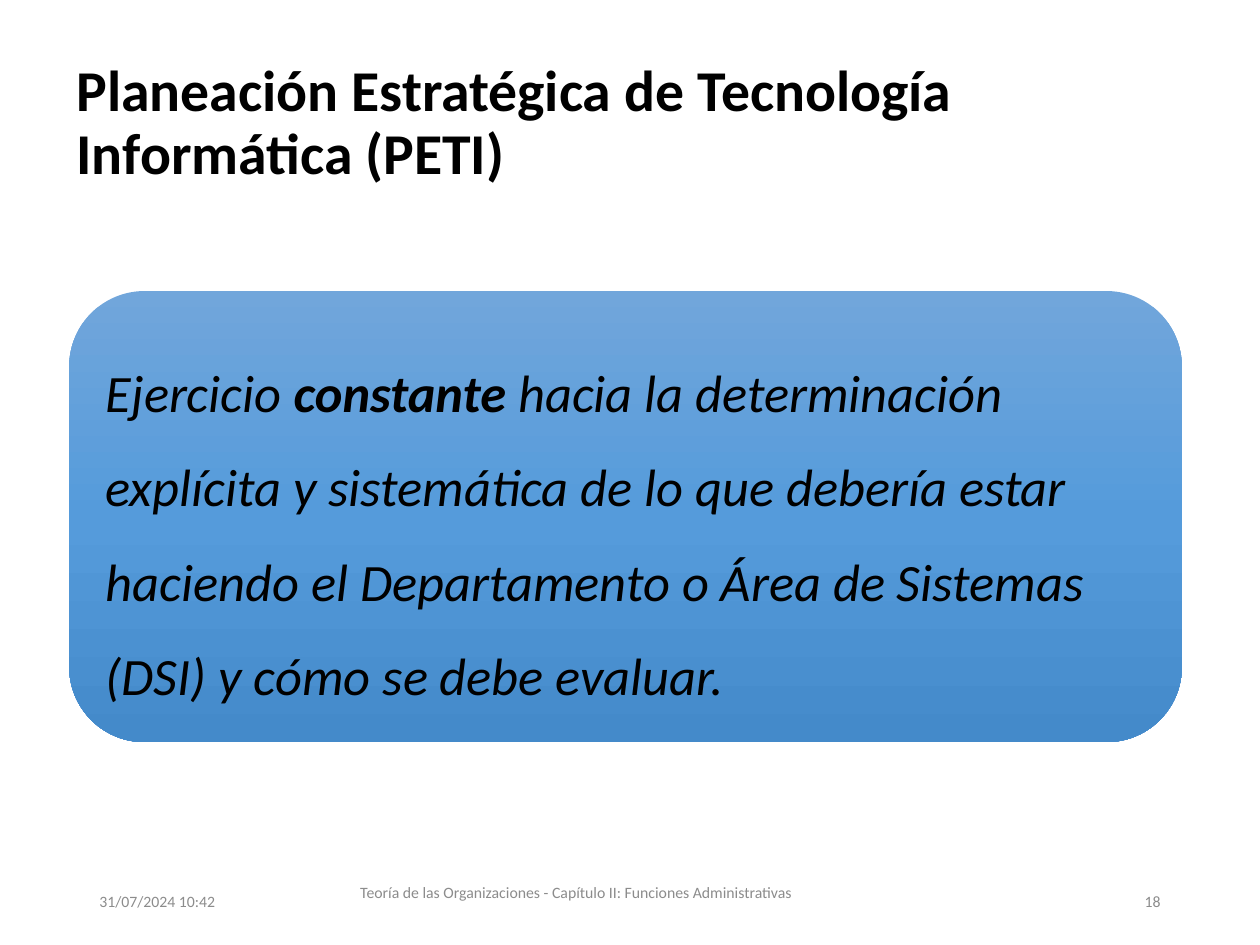
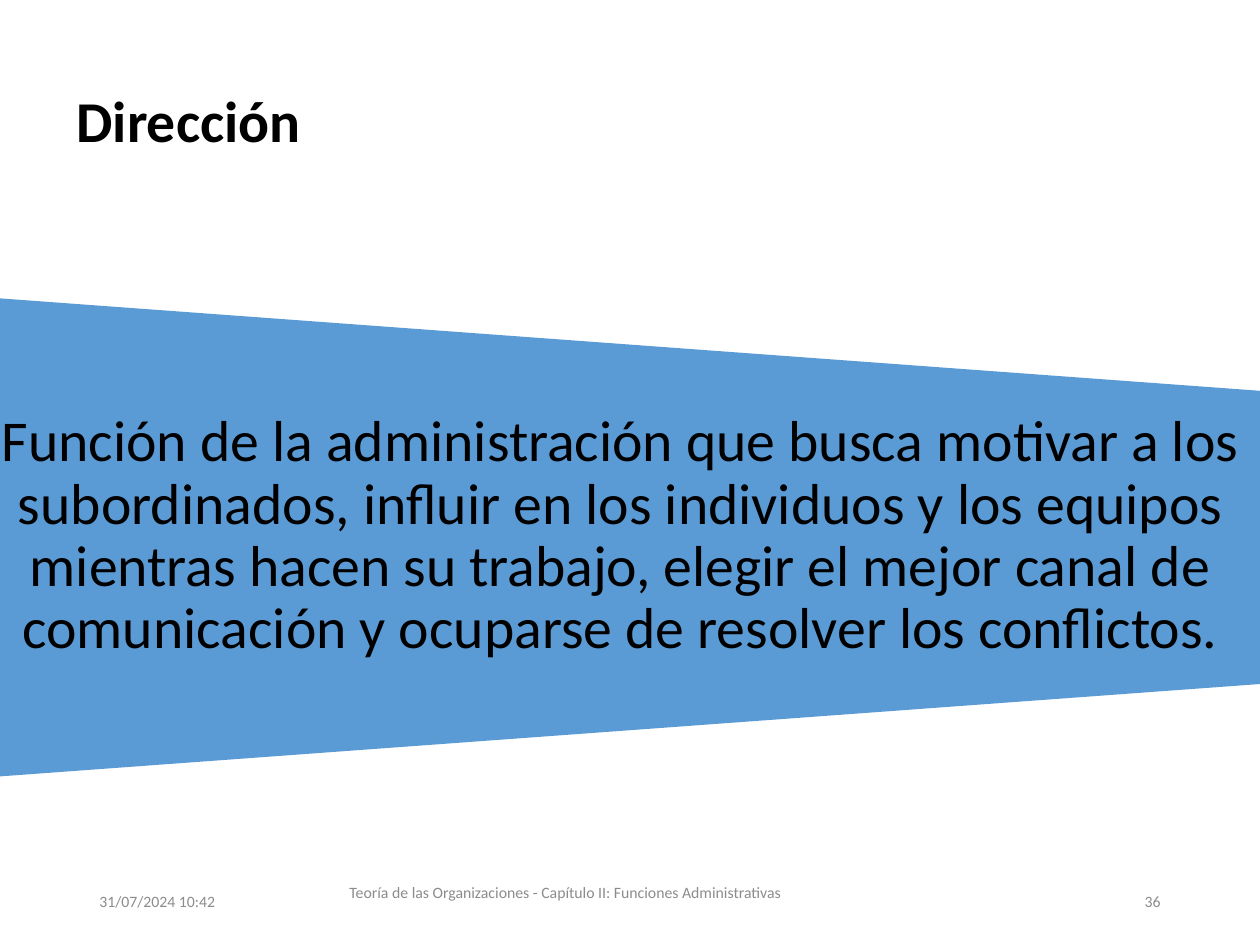
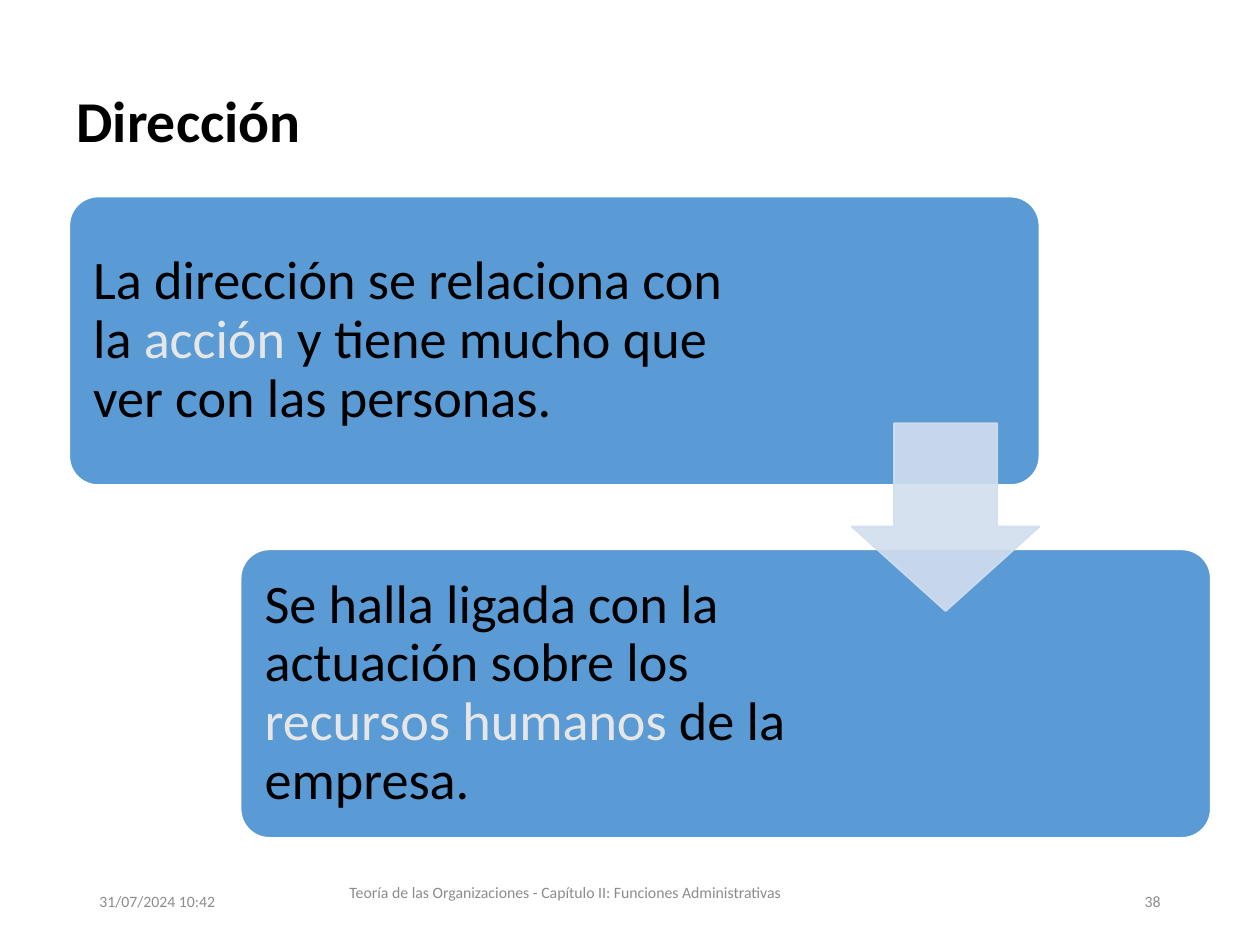
from copy import deepcopy

from lxml import etree
from pptx import Presentation
from pptx.dml.color import RGBColor
from pptx.enum.shapes import MSO_SHAPE
from pptx.enum.text import MSO_ANCHOR, PP_ALIGN
from pptx.oxml.ns import qn
from pptx.util import Inches, Pt

ROUNDED = MSO_SHAPE.ROUNDED_RECTANGLE
TRAPEZOID = MSO_SHAPE.FLOWCHART_MANUAL_OPERATION
DOWN_ARROW = MSO_SHAPE.DOWN_ARROW
MIDDLE = MSO_ANCHOR.MIDDLE
LEFT, CENTER, RIGHT = PP_ALIGN.LEFT, PP_ALIGN.CENTER, PP_ALIGN.RIGHT

BLACK = RGBColor(0x00, 0x00, 0x00)
WHITE = RGBColor(0xFF, 0xFF, 0xFF)
GRAY = RGBColor(0x8C, 0x8C, 0x8C)
PALE = RGBColor(0xE7, 0xE6, 0xE6)
BLUE = RGBColor(0x5B, 0x9B, 0xD5)
ARROW_BLUE = RGBColor(0xD2, 0xDE, 0xEF)
GRADIENT = (
    RGBColor(0x71, 0xA6, 0xDB),
    RGBColor(0x55, 0x9B, 0xDB),
    RGBColor(0x44, 0x8A, 0xCA),
)

FONT = "Calibri"
DATE = "31/07/2024 10:42"
FOOTER = "Teoría de las Organizaciones - Capítulo II: Funciones Administrativas"


class SlideBuilder:
    """Holds the deck style and adds elements to the current slide."""

    def __init__(self):
        self.deck = Presentation()
        self.deck.slide_width = Inches(10)
        self.deck.slide_height = Inches(7.5)
        self.page = None

    def start_page(self, title, number, footer_left=1.87, footer_width=5.23):
        self.page = self.deck.slides.add_slide(self.deck.slide_layouts[6])
        self.text((0.51, 0.36, 9, 1.25), [(title, {"bold": True})], 33, spacing=0.9)
        self.text((0.69, 6.95, 2.25, 0.4), [(DATE, {})], 9, color=GRAY)
        self.text((footer_left, 6.83, footer_width, 0.5), [(FOOTER, {})], 9,
                  color=GRAY, align=CENTER)
        self.text((7.06, 6.95, 2.25, 0.4), [(str(number), {})], 9,
                  color=GRAY, align=RIGHT)

    def text(self, place, spans, size, color=BLACK, align=LEFT, spacing=1.0,
             margins=(0.1, 0.05)):
        box = self.page.shapes.add_textbox(*map(Inches, place))
        frame = box.text_frame
        frame.word_wrap = True
        frame.vertical_anchor = MIDDLE
        frame.margin_left = frame.margin_right = Inches(margins[0])
        frame.margin_top = frame.margin_bottom = Inches(margins[1])
        para = frame.paragraphs[0]
        para.alignment = align
        para.line_spacing = spacing
        for words, style in spans:
            span = para.add_run()
            span.text = words
            span.font.name = FONT
            span.font.size = Pt(size)
            span.font.bold = style.get("bold", False)
            span.font.italic = style.get("italic", False)
            span.font.color.rgb = style.get("color", color)

    def shape(self, kind, place, fill=BLUE, line=None, adjustments=()):
        shape = self.page.shapes.add_shape(kind, *map(Inches, place))
        shape.shadow.inherit = False
        shape.fill.solid()
        shape.fill.fore_color.rgb = fill
        if line is None:
            shape.line.fill.background()
        else:
            shape.line.color.rgb = line
            shape.line.width = Pt(1)
        for index, value in enumerate(adjustments):
            shape.adjustments[index] = value
        return shape

    def gradient_panel(self, place):
        panel = self.shape(ROUNDED, place)
        panel.fill.gradient()
        panel.fill.gradient_angle = 270
        stop_list = panel._element.spPr.find(".//" + qn("a:gsLst"))
        stop_list.append(deepcopy(stop_list[0]))
        for index, stop in enumerate(panel.fill.gradient_stops):
            stop.position = index / 2
            stop.color.rgb = GRADIENT[index]

    def translucent_arrow(self, place):
        arrow = self.shape(DOWN_ARROW, place, ARROW_BLUE, ARROW_BLUE, (0.55, 0.45))
        for color in arrow._element.spPr.iter(qn("a:srgbClr")):
            etree.SubElement(color, qn("a:alpha")).set("val", "90000")

    def step(self, left, top, text_width, spans):
        self.shape(ROUNDED, (left, top, 7.7, 2.29), line=WHITE, adjustments=(0.1,))
        self.text((left + 0.06, top + 0.07, text_width, 2.15), spans, 31,
                  spacing=0.9, margins=(0.13, 0.13))


def build_planning(builder):
    builder.start_page("Planeación Estratégica de Tecnología Informática (PETI)", 18,
                       2.03, 5.08)
    builder.gradient_panel((0.55, 2.31, 8.83, 3.58))
    builder.text((0.72, 2.49, 8.48, 3.23), [
        ("Ejercicio ", {"italic": True}),
        ("constante ", {"italic": True, "bold": True}),
        ("hacia la determinación explícita y sistemática de lo que debería estar "
         "haciendo el Departamento o Área de Sistemas (DSI) y cómo se debe evaluar.",
         {"italic": True}),
    ], 30, spacing=1.5, margins=(0.12, 0.12))


def build_definition(builder):
    builder.start_page("Dirección", 36)
    band = builder.shape(TRAPEZOID, (3, -0.97, 3.84, 10.47))
    band.rotation = 270
    builder.text((-0.31, 3.11, 10.47, 2.3), [
        ("Función de la administración que busca motivar a los subordinados, influir "
         "en los individuos y los equipos mientras hacen su trabajo, elegir el mejor "
         "canal de comunicación y ocuparse de resolver los conflictos.", {}),
    ], 33, align=CENTER, spacing=0.9, margins=(0.23, 0))


def build_steps(builder):
    builder.start_page("Dirección", 38)
    builder.step(0.55, 1.56, 5.34, [
        ("La dirección se relaciona con la ", {}),
        ("acción", {"color": PALE}),
        (" y tiene mucho que ver con las personas.", {}),
    ])
    builder.step(1.91, 4.36, 4.72, [
        ("Se halla ligada con la actuación sobre los ", {}),
        ("recursos humanos ", {"color": PALE}),
        ("de la empresa.", {}),
    ])
    builder.translucent_arrow((6.76, 3.36, 1.49, 1.49))


def main():
    builder = SlideBuilder()
    build_planning(builder)
    build_definition(builder)
    build_steps(builder)
    builder.deck.save("out.pptx")


if __name__ == "__main__":
    main()
